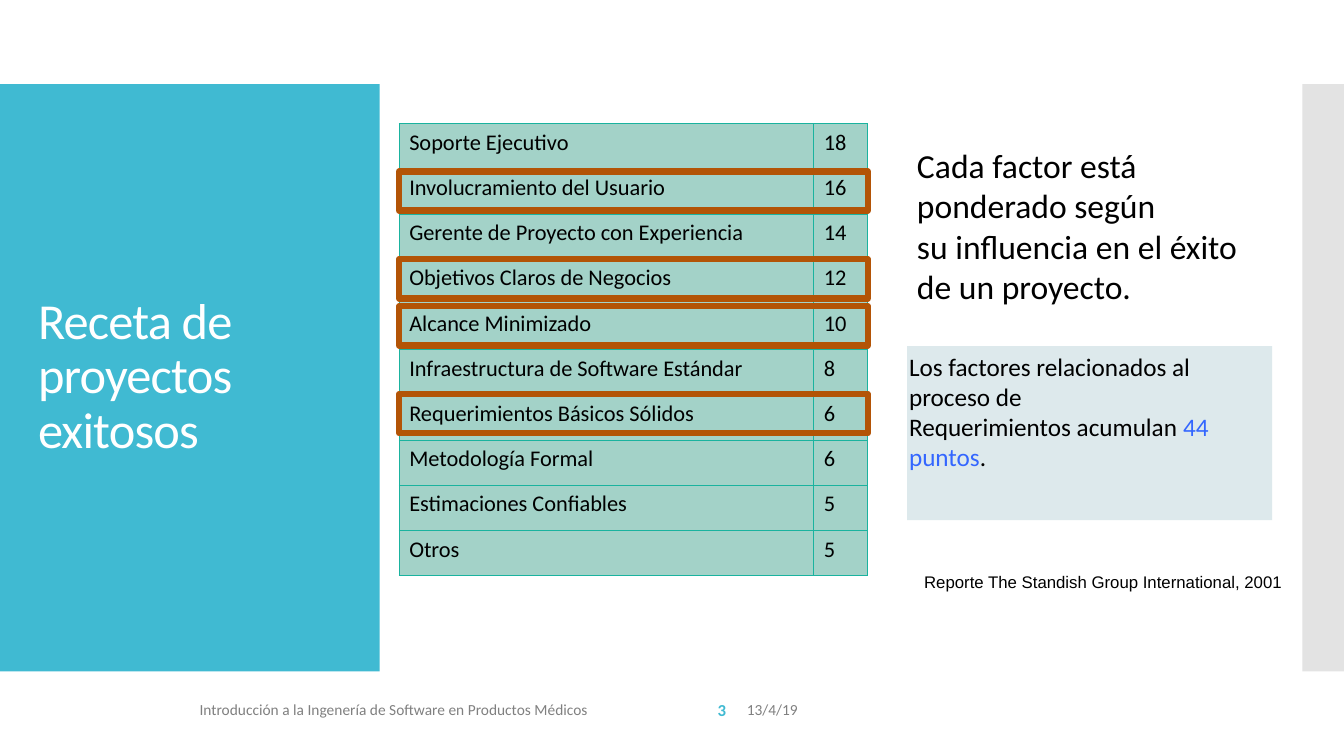
"""Build the slide on the weighted success factors of software projects."""
import dataclasses

import lxml.etree
import pptx
import pptx.dml.color
import pptx.enum.shapes
import pptx.enum.text
import pptx.oxml
import pptx.oxml.ns
import pptx.util

Cm = pptx.util.Cm
Pt = pptx.util.Pt
Align = pptx.enum.text.PP_ALIGN
Anchor = pptx.enum.text.MSO_ANCHOR


@dataclasses.dataclass(frozen=True)
class Theme:
    font: str = "Calibri"
    source_font: str = "Arial"
    accent: str = "40BAD2"
    side_bar: str = "E3E3E3"
    callout: str = "DDE9EC"
    cell: str = "A3D2C8"
    border: str = "1AB39F"
    highlight: str = "B35406"
    points: str = "3366FF"
    text: str = "000000"
    light: str = "FFFFFF"
    muted: str = "808080"
    title_size: int = 36
    lead_size: int = 24
    callout_size: int = 18
    table_size: int = 16
    small_size: int = 12
    footer_size: int = 11


theme = Theme()


def write(frame, *paragraphs, size, color=theme.text, font=theme.font, bold=False,
          align=Align.LEFT, anchor=Anchor.TOP, line_spacing=None, tracking=None):
    """Fill a text frame; each paragraph is a string or a list of (text, color) runs."""
    frame.word_wrap = True
    frame.vertical_anchor = anchor
    for index, content in enumerate(paragraphs):
        paragraph = frame.paragraphs[0] if index == 0 else frame.add_paragraph()
        paragraph.alignment = align
        if line_spacing:
            paragraph.line_spacing = line_spacing
        runs = [(content, color)] if isinstance(content, str) else content
        for text, run_color in runs:
            run = paragraph.add_run()
            run.text = text
            run.font.name = font
            run.font.size = Pt(size)
            run.font.bold = bold
            run.font.color.rgb = pptx.dml.color.RGBColor.from_string(run_color)
            if tracking:
                run.font._element.set("spc", str(tracking))


def add_rectangle(left, top, width, height, fill=None, line=None):
    """Add a rectangle, measured in centimetres, with a fill or an outline."""
    shape = slide.shapes.add_shape(pptx.enum.shapes.MSO_SHAPE.RECTANGLE,
                                   Cm(left), Cm(top), Cm(width), Cm(height))
    shape.shadow.inherit = False
    if fill:
        shape.fill.solid()
        shape.fill.fore_color.rgb = pptx.dml.color.RGBColor.from_string(fill)
    else:
        shape.fill.background()
    if line:
        shape.line.color.rgb = pptx.dml.color.RGBColor.from_string(line)
        shape.line.width = Pt(4.5)
    else:
        shape.line.fill.background()


presentation = pptx.Presentation()
presentation.slide_width = Cm(33.87)
presentation.slide_height = Cm(19.05)
slide = presentation.slides.add_slide(presentation.slide_layouts[6])

add_rectangle(0, 2.12, 9.57, 14.8, fill=theme.accent)
add_rectangle(32.82, 2.12, 1.05, 14.8, fill=theme.side_bar)
add_rectangle(22.86, 8.72, 9.2, 4.39, fill=theme.callout)

factors = [
    ("Soporte Ejecutivo", 18),
    ("Involucramiento del Usuario", 16),
    ("Gerente de Proyecto con Experiencia", 14),
    ("Objetivos Claros de Negocios", 12),
    ("Alcance Minimizado", 10),
    ("Infraestructura de Software Estándar", 8),
    ("Requerimientos Básicos Sólidos", 6),
    ("Metodología Formal", 6),
    ("Estimaciones Confiables", 5),
    ("Otros", 5),
]
table_left, table_top, row_height = 10.06, 3.12, 1.14
column_widths = (10.45, 1.36)
table_width = sum(column_widths)
table = slide.shapes.add_table(len(factors), 2, Cm(table_left), Cm(table_top),
                               Cm(table_width), Cm(row_height * len(factors))).table
table.first_row = False
table.horz_banding = False
for column, width in zip(table.columns, column_widths):
    column.width = Cm(width)
for row_index, factor in enumerate(factors):
    table.rows[row_index].height = Cm(row_height)
    for column_index, value in enumerate(factor):
        cell = table.cell(row_index, column_index)
        write(cell.text_frame, str(value), size=theme.table_size)
        properties = cell._tc.get_or_add_tcPr()
        for side in ("lnL", "lnR", "lnT", "lnB"):
            border = lxml.etree.SubElement(properties, pptx.oxml.ns.qn(f"a:{side}"), w=str(Pt(0.75)))
            border_fill = lxml.etree.SubElement(border, pptx.oxml.ns.qn("a:solidFill"))
            lxml.etree.SubElement(border_fill, pptx.oxml.ns.qn("a:srgbClr"), val=theme.border)
        cell.fill.solid()
        cell.fill.fore_color.rgb = pptx.dml.color.RGBColor.from_string(theme.cell)

text_boxes = [
    ((0.71, 3.12, 8.18, 12.78), ["Receta de proyectos exitosos"],
     dict(size=theme.title_size, color=theme.light, anchor=Anchor.MIDDLE,
          line_spacing=0.9, tracking=-60)),
    ((22.86, 3.53, 8.79, 4.37),
     ["Cada factor está ponderado según", "su influencia en el éxito de un proyecto."],
     dict(size=theme.lead_size)),
    ((23.04, 14.27, 9.53, 0.79), ["Reporte The Standish Group International, 2001"],
     dict(size=theme.small_size, font=theme.source_font)),
    ((22.66, 8.72, 9.32, 3.33),
     ["Los factores relacionados al proceso de",
      [("Requerimientos acumulan ", theme.text), ("44 puntos", theme.points), (".", theme.text)]],
     dict(size=theme.callout_size)),
    ((18.57, 17.37, 10.52, 1.02), ["13/4/19"],
     dict(size=theme.footer_size, color=theme.muted, anchor=Anchor.MIDDLE)),
    ((4.78, 17.37, 10.52, 1.02), ["Introducción a la Ingenería de Software en Productos Médicos"],
     dict(size=theme.footer_size, color=theme.muted, anchor=Anchor.MIDDLE)),
    ((15.32, 17.37, 3.23, 1.02), ["3"],
     dict(size=theme.small_size, color=theme.accent, bold=True,
          align=Align.RIGHT, anchor=Anchor.MIDDLE)),
]
for box, paragraphs, text_format in text_boxes:
    text_box = slide.shapes.add_textbox(*(Cm(length) for length in box))
    write(text_box.text_frame, *paragraphs, **text_format)

for highlight_top in (4.32, 6.53, 7.72, 9.93):
    add_rectangle(table_left, highlight_top, table_width, 0.99, line=theme.highlight)

presentation.save("out.pptx")
